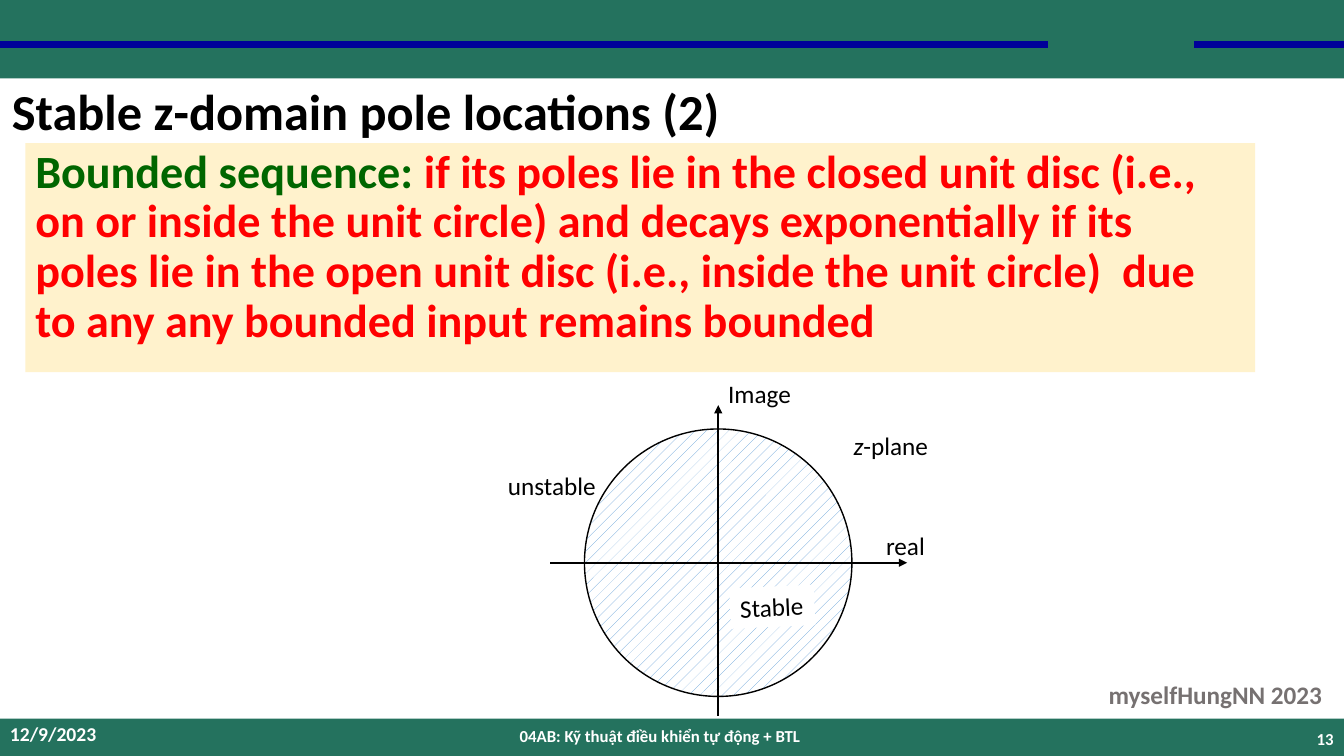
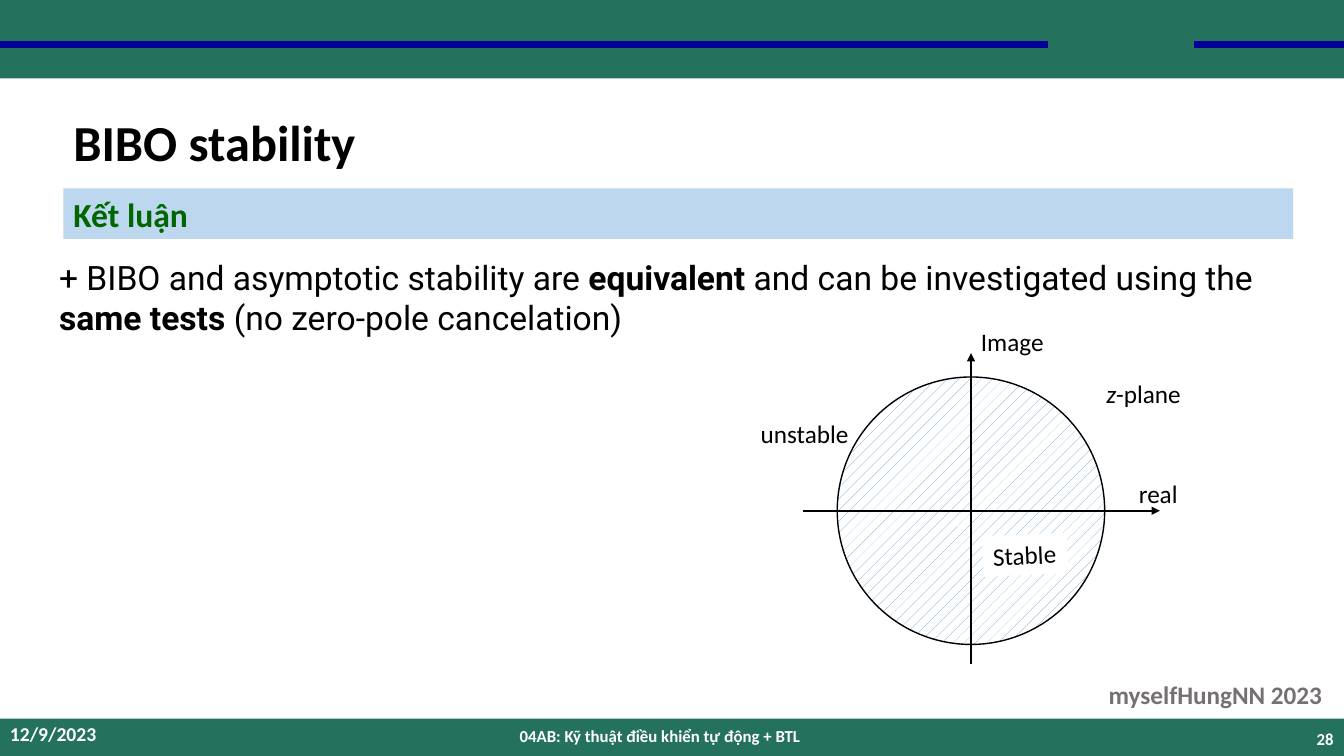
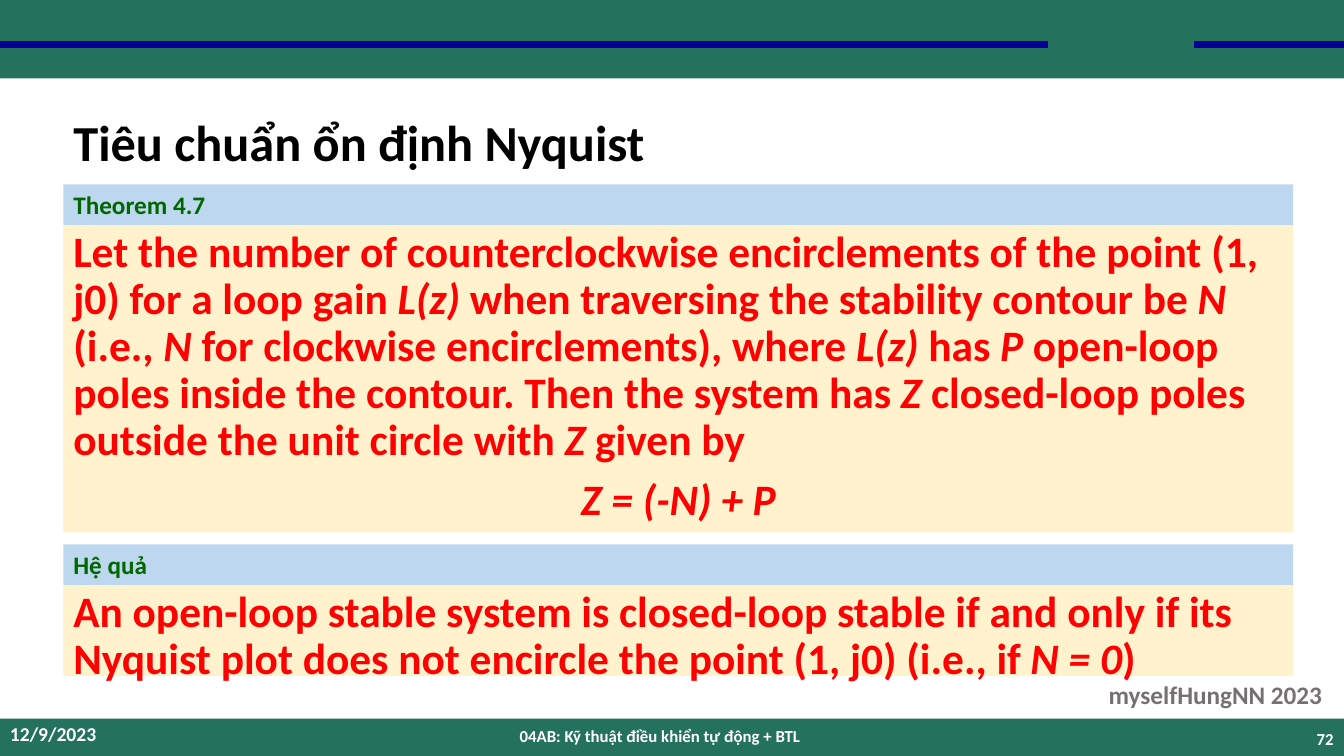
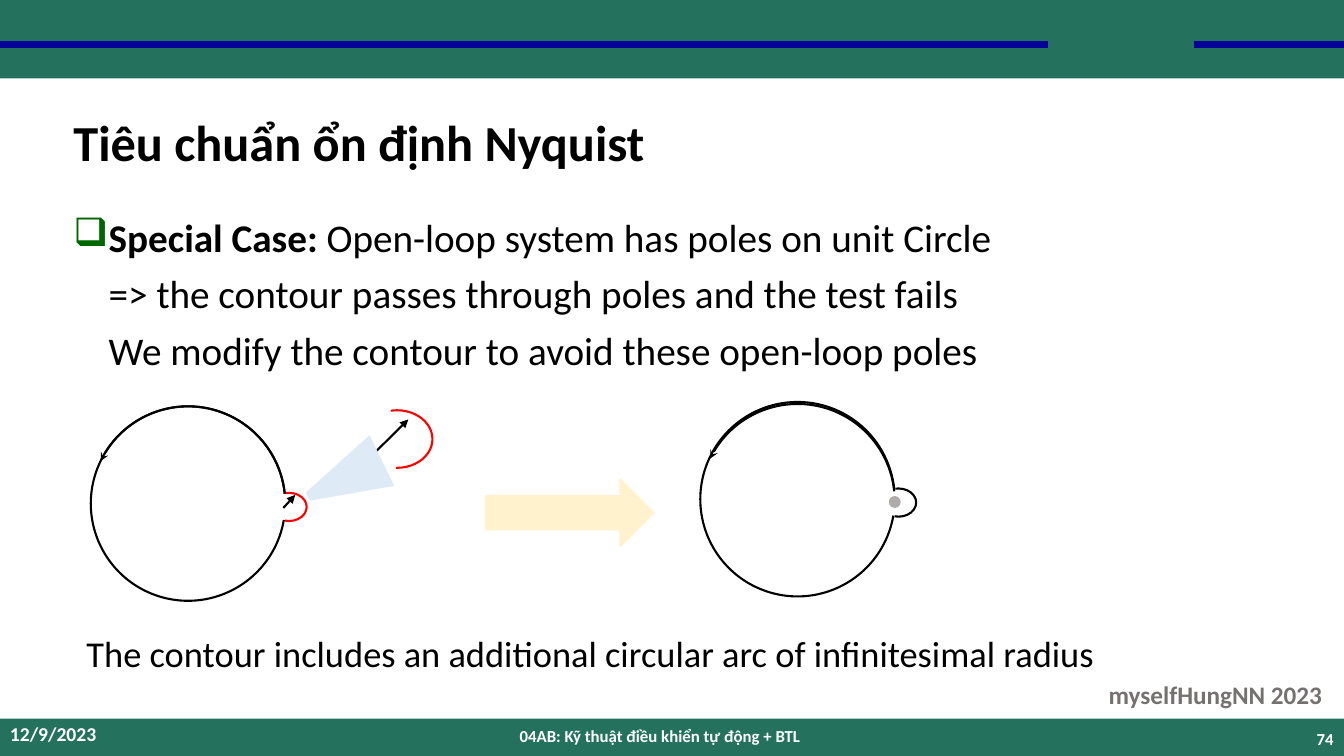
from dataclasses import dataclass, replace

from lxml import etree
from pptx import Presentation
from pptx.dml.color import RGBColor
from pptx.enum.dml import MSO_PATTERN
from pptx.enum.shapes import MSO_CONNECTOR, MSO_SHAPE
from pptx.enum.text import MSO_ANCHOR, MSO_AUTO_SIZE, PP_ALIGN
from pptx.oxml.ns import qn
from pptx.util import Cm, Pt

RECT, ELLIPSE, ARC = MSO_SHAPE.RECTANGLE, MSO_SHAPE.OVAL, MSO_SHAPE.ARC
RIGHT_ARROW, TRAPEZOID = MSO_SHAPE.RIGHT_ARROW, MSO_SHAPE.TRAPEZOID
STRAIGHT = MSO_CONNECTOR.STRAIGHT
TOP, MIDDLE = MSO_ANCHOR.TOP, MSO_ANCHOR.MIDDLE
LEFT, CENTER, RIGHT = PP_ALIGN.LEFT, PP_ALIGN.CENTER, PP_ALIGN.RIGHT
GROW, FIXED = MSO_AUTO_SIZE.SHAPE_TO_FIT_TEXT, MSO_AUTO_SIZE.NONE
TEN_PERCENT = MSO_PATTERN.PERCENT_10

SLIDE_W, SLIDE_H = 33.87, 19.05
MARGIN, CONTENT_W = 1.6, 30.99
BAR_H = 1.02
FOOTER_TOP = 18.11


@dataclass(frozen=True)
class TextStyle:
    size: float
    color: str = "000000"
    bold: bool = False
    italic: bool = False
    face: str = "Calibri"


class Theme:
    black, white, red = "000000", "FFFFFF", "FF0000"
    band, rule = "24725E", "000099"
    green, blue, cream = "006600", "BDD7EE", "FFF2CC"
    hatch, zoom, pole = "5B9BD5", "DEEBF7", "AFABAB"

    title = TextStyle(36, bold=True)
    statement = TextStyle(33, red, bold=True)
    theorem = TextStyle(31, red, bold=True)
    bar = TextStyle(18, green, bold=True)
    conclusion = replace(bar, size=24)
    remark = TextStyle(24, face="Roboto")
    body = TextStyle(28)
    caption = TextStyle(26)
    label = TextStyle(18)
    credit = TextStyle(18, "767171", bold=True)
    date = TextStyle(14, white, bold=True)
    footer = TextStyle(12, white, bold=True)


def rgb(color):
    return RGBColor.from_string(color)


def apply_style(font, style, base=None):
    """Set on the font whatever differs from the base style."""
    if base is None or style.size != base.size:
        font.size = Pt(style.size)
    if base is None or style.color != base.color:
        font.color.rgb = rgb(style.color)
    if base is None or style.face != base.face:
        font.name = style.face
    if base is None or style.bold != base.bold:
        font.bold = style.bold
    if base is None or style.italic != base.italic:
        font.italic = style.italic


class Deck:
    def __init__(self):
        self.presentation = Presentation()
        self.presentation.slide_width = Cm(SLIDE_W)
        self.presentation.slide_height = Cm(SLIDE_H)
        self.slide = None

    def new_slide(self, number, title, title_at=(MARGIN, 1.96), title_anchor=MIDDLE):
        layout = self.presentation.slide_layouts[6]
        self.slide = self.presentation.slides.add_slide(layout)
        self.shape(RECT, (0, 0, SLIDE_W, 1.98), Theme.band)
        self.shape(RECT, (0, FOOTER_TOP, SLIDE_W, SLIDE_H - FOOTER_TOP), Theme.band)
        for start, end in ((0, 26.42), (30.1, SLIDE_W)):
            self.line((start, 1.12), (end, 1.12), 4.5, Theme.rule, arrow=False)
        self.text((27.69, 17, 6.1, BAR_H), "myselfHungNN 2023", Theme.credit, wrap=False)
        self.text((0, 18.03, 7.62, 0.91), "12/9/2023", Theme.date, anchor=MIDDLE)
        self.text((10.92, 18.03, 11.43, 1.02), "04AB: Kỹ thuật điều khiển tự động + BTL",
                  Theme.footer, align=CENTER, anchor=MIDDLE)
        self.text((26.24, FOOTER_TOP, 7.62, 1.02), str(number), Theme.footer,
                  align=RIGHT, anchor=MIDDLE)
        self.text((*title_at, CONTENT_W, 3.38), title, Theme.title,
                  anchor=title_anchor, spacing=0.9)

    def shape(self, preset, area, fill=None, line=None, width=1, rotation=0):
        shape = self.slide.shapes.add_shape(preset, *map(Cm, area))
        shape.shadow.inherit = False
        shape.rotation = rotation
        if fill:
            shape.fill.solid()
            shape.fill.fore_color.rgb = rgb(fill)
        else:
            shape.fill.background()
        if line:
            shape.line.color.rgb = rgb(line)
            shape.line.width = Pt(width)
        else:
            shape.line.fill.background()
        return shape

    def arc(self, area, start, end, color=Theme.black):
        """Draw an arc clockwise between two angles in degrees."""
        arc = self.shape(ARC, area, line=color, width=1.5)
        for index, angle in enumerate((start, end)):
            arc.adjustments[index] = angle * 0.6
        return arc

    def arrowhead(self, outlined, end, kind):
        etree.SubElement(outlined.get_or_add_ln(), qn(f"a:{end}End"), type=kind)

    def line(self, start, end, width=1.5, color=Theme.black, arrow=True):
        line = self.slide.shapes.add_connector(STRAIGHT, *map(Cm, (*start, *end)))
        line.line.color.rgb = rgb(color)
        line.line.width = Pt(width)
        if arrow:
            self.arrowhead(line, "tail", "triangle")
        etree.SubElement(line._element.spPr, qn("a:effectLst"))

    def text(self, area, text, style, **options):
        self.paragraphs(area, [text], style, **options)

    def paragraphs(self, area, texts, style, **options):
        box = self.slide.shapes.add_textbox(*map(Cm, area))
        self.set_text(box, texts, style, **options)
        return box

    def panel(self, area, fill, texts, style, rotation=0, **options):
        panel = self.shape(RECT, area, fill, rotation=rotation)
        self.set_text(panel, texts, style, **options)
        return panel

    def set_text(self, shape, texts, style, emphasis=None, align=LEFT, anchor=TOP,
                 wrap=True, grow=False, spacing=None, before=0):
        """Fill a shape; parts between asterisks take the emphasis style."""
        emphasis = emphasis or replace(style, italic=True)
        frame = shape.text_frame
        frame.word_wrap = wrap
        frame.auto_size = GROW if grow or not wrap else FIXED
        frame.vertical_anchor = anchor
        for index, text in enumerate(texts):
            paragraph = frame.add_paragraph() if index else frame.paragraphs[0]
            paragraph.alignment = align
            paragraph.space_before = Pt(before)
            if spacing:
                paragraph.line_spacing = spacing
            apply_style(paragraph.font, style)
            for part, words in enumerate(text.split("*")):
                if words:
                    run = paragraph.add_run()
                    run.text = words
                    if part % 2:
                        apply_style(run.font, emphasis, style)

    def hang(self, paragraph, indent, bullet=None):
        """Indent a paragraph, hanging a green bullet if one is given."""
        properties = paragraph._p.get_or_add_pPr()
        properties.set("marL", str(Cm(indent)))
        properties.set("indent", str(-Cm(indent) if bullet else 0))
        if bullet:
            color = etree.Element(qn("a:buClr"))
            etree.SubElement(color, qn("a:srgbClr"), val=Theme.green)
            mark = etree.Element(qn("a:buChar"), char=bullet)
            defaults = properties.find(qn("a:defRPr"))
            defaults.addprevious(color)
            defaults.addprevious(mark)

    def bar(self, top, text, style=Theme.bar, height=BAR_H):
        self.panel((MARGIN, top, CONTENT_W, height), Theme.blue, [text], style, grow=True)

    def theorem(self, top, heading, texts, height):
        body = self.panel((MARGIN, top + BAR_H, CONTENT_W, height), Theme.cream,
                          texts, Theme.theorem, spacing=0.9, before=10)
        self.bar(top, heading)
        return body

    def unit_circle(self, x, y):
        """Draw the z-plane stability region centred on a point."""
        radius = 3.37
        disc = self.shape(ELLIPSE, (x - radius, y - radius, 2 * radius, 2 * radius),
                          line=Theme.black)
        disc.fill.patterned()
        disc.fill.pattern = TEN_PERCENT
        disc.fill.fore_color.rgb = rgb(Theme.hatch)
        disc.fill.back_color.rgb = rgb(Theme.white)
        for label, dx, dy, width in (("Image", 0, -4.76, 2.1),
                                     ("*z*-plane", 3.16, -3.47, 2.41),
                                     ("unstable", -5.55, -2.45, 2.74),
                                     ("real", 3.98, -0.95, 1.5)):
            self.text((x + dx, y + dy, width, BAR_H), label, Theme.label, wrap=False)
        self.panel((x + 0.3, y + 0.6, 2.13, BAR_H), Theme.white, ["Stable"],
                   Theme.label, rotation=357.4, wrap=False)
        self.line((x - 4.23, y), (x + 4.76, y), 1.75)
        self.line((x, y + 3.86), (x, y - 3.97), 1.75)

    def contour(self, left, top, detour_color, direction_drop=0):
        """Draw a unit-circle contour with a small detour around a pole."""
        size = 4.9
        self.arc((left, top, size, size), 9.74, 354.18)
        self.arc((left + 4.55, top + 2.18, 0.89, 0.71), 257.43, 106.14, detour_color)
        direction = self.arc((left, top + direction_drop, size, size), 206.02, 354.18)
        self.arrowhead(direction, "head", "stealth")


def pole_locations(deck):
    deck.new_slide(13, "Stable z-domain pole locations (2)", (0.05, 2.06), TOP)
    deck.panel((0.64, 3.61, CONTENT_W, 5.77), Theme.cream, [
        "*Bounded sequence: *if its poles lie in the closed unit disc (i.e., on or inside "
        "the unit circle) and decays exponentially if its poles lie in the open unit disc "
        "(i.e., inside the unit circle)  due to any any bounded input remains bounded"],
        Theme.statement, emphasis=replace(Theme.statement, color=Theme.green),
        spacing=0.9, before=10)
    deck.unit_circle(18.1, 14.18)


def bibo_stability(deck):
    deck.new_slide(28, "BIBO stability")
    deck.bar(4.75, "Kết luận", Theme.conclusion, 1.27)
    deck.text((1.24, 6.35, 31.32, 2.31),
              "+ BIBO and asymptotic stability are *equivalent* and can be investigated "
              "using the *same tests *(no zero-pole cancelation)",
              Theme.remark, emphasis=replace(Theme.remark, bold=True), grow=True)
    deck.unit_circle(24.47, 12.87)


def nyquist_theorem(deck):
    deck.new_slide(72, "Tiêu chuẩn ổn định Nyquist")
    theorem = deck.theorem(4.65, "Theorem 4.7", [
        "Let the number of counterclockwise encirclements of the point (1, j0) for a loop "
        "gain *L(z)* when traversing the stability contour be *N* (i.e., *N* for clockwise "
        "encirclements), where *L(z) *has *P* open-loop poles inside the contour. Then the "
        "system has *Z* closed-loop poles outside the unit circle with *Z* given by",
        "*Z = (-N) + P*"], 7.75)
    theorem.text_frame.paragraphs[1].alignment = CENTER
    deck.theorem(13.72, "Hệ quả", [
        "An open-loop stable system is closed-loop stable if and only if its Nyquist plot "
        "does not encircle the point (1, j0) (i.e., if *N = 0*)"], 2.29)


def nyquist_special_case(deck):
    deck.new_slide(74, "Tiêu chuẩn ổn định Nyquist")
    case = deck.paragraphs((MARGIN, 5.38, CONTENT_W, 4.47), [
        "*Special Case: *Open-loop system has poles on unit Circle",
        "=> the contour passes through poles and the test fails",
        "We modify the contour to avoid these open-loop poles"],
        Theme.body, emphasis=replace(Theme.body, bold=True), spacing=0.9, before=10)
    for paragraph, bullet in zip(case.text_frame.paragraphs, ("❑", None, None)):
        deck.hang(paragraph, 0.89, bullet)
    deck.text((1.93, 15.77, 26.06, 1.37),
              "The contour includes an additional circular arc of infinitesimal radius",
              Theme.caption, grow=True)
    deck.shape(RIGHT_ARROW, (12.24, 12.07, 4.24, 1.7), Theme.cream, Theme.cream)

    deck.contour(2.29, 10.24, Theme.red)
    deck.arc((9.12, 10.34, 1.78, 1.45), 257.43, 91.84, Theme.red)
    deck.line((9.47, 11.38), (10.29, 10.57))
    deck.line((7.14, 12.8), (7.44, 12.47))
    zoom = deck.shape(TRAPEZOID, (7.98, 11.02, 1.42, 2.08), Theme.zoom, rotation=244)
    zoom.adjustments[0] = 0.42

    deck.contour(17.65, 10.13, Theme.black, direction_drop=0.05)
    deck.shape(ELLIPSE, (22.4, 12.5, 0.3, 0.3), Theme.pole)


def main():
    deck = Deck()
    for build in (pole_locations, bibo_stability, nyquist_theorem, nyquist_special_case):
        build(deck)
    deck.presentation.save("out.pptx")


if __name__ == "__main__":
    main()
